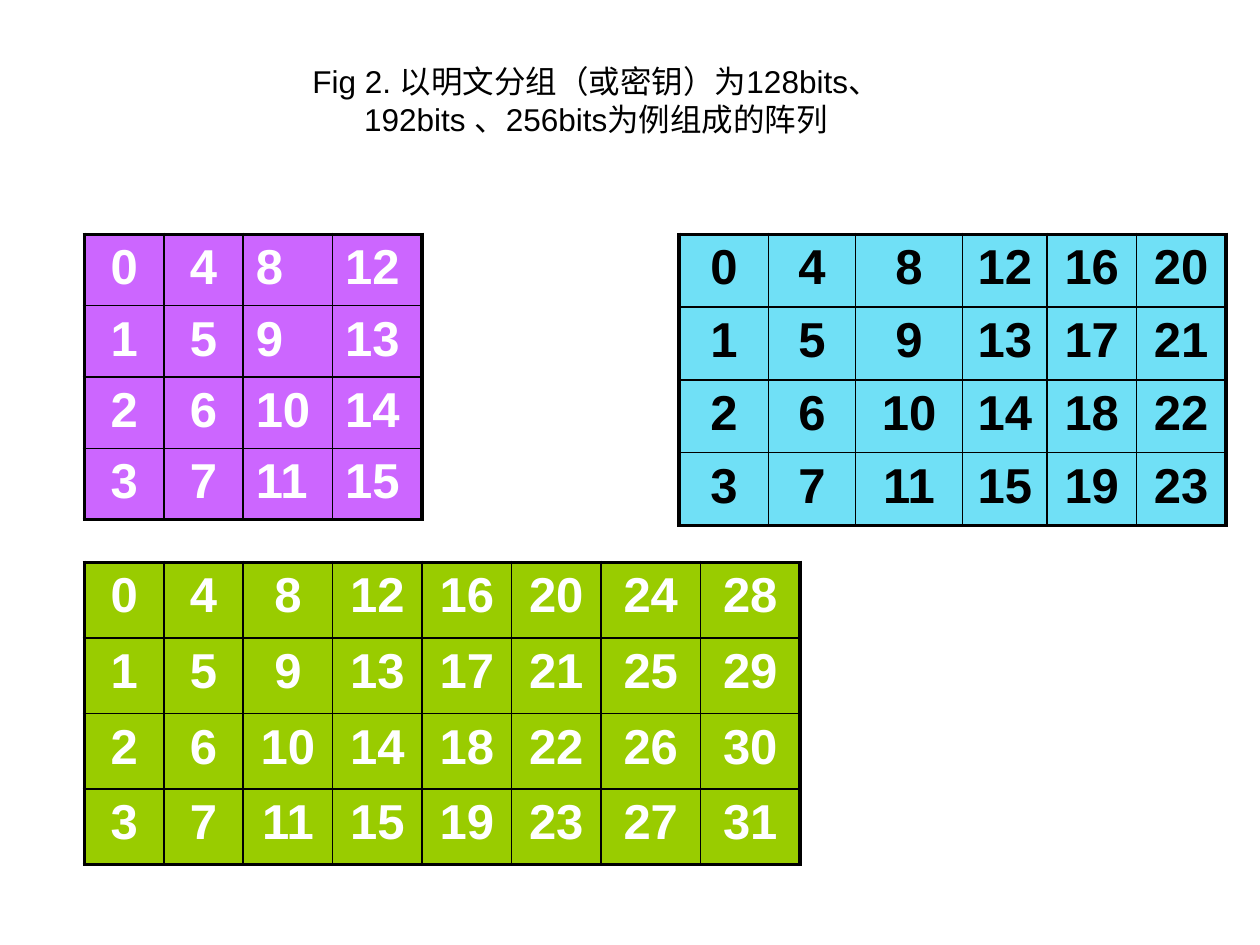
from lxml.etree import SubElement
from pptx import Presentation
from pptx.dml.color import RGBColor as RGB
from pptx.enum.text import MSO_ANCHOR as ANCHOR, MSO_AUTO_SIZE as AUTO, PP_ALIGN as ALIGN
from pptx.oxml.ns import qn
from pptx.util import Inches, Pt

COLORS = {"white": "FFFFFF", "black": "000000", "violet": "CC66FF",
          "cyan": "70E0F6", "green": "99CC00"}
ROWS = 4
OUTER, INNER = 2.25, 1

prs = Presentation()
prs.slide_width, prs.slide_height = Inches(10), Inches(7.5)
X, Y = prs.slide_width / 100, prs.slide_height / 100  # one percent of the slide


def add_border(cell, side, width):
    """Draw one side (L, R, T or B) of a cell; call before filling the cell."""
    ln = SubElement(cell._tc.get_or_add_tcPr(), qn(f"a:ln{side}"), w=str(Pt(width)))
    SubElement(SubElement(ln, qn("a:solidFill")), qn("a:srgbClr"), val=COLORS["black"])


s = prs.slides.add_slide(prs.slide_layouts[5])

# left, top, column widths, row height (percent of the slide), fill, text, left-aligned columns
arrays = [
    (6.7, 24.8, [6.3, 6.3, 7.1, 7.1], 7.55, "violet", "white", (2, 3)),
    (53.9, 24.8, [7.1, 6.9, 8.5, 6.7, 7.1, 7.1], 7.7, "cyan", "black", ()),
    (6.7, 59.5, [6.3, 6.3, 7.1, 7.1, 7.1, 7.1, 7.9, 7.9], 8, "green", "white", ()),
]
for left, top, widths, height, fill, ink, left_cols in arrays:
    cols = len(widths)
    table = s.shapes.add_table(ROWS, cols, int(left * X), int(top * Y),
                               int(sum(widths) * X), int(ROWS * height * Y)).table
    table.first_row = table.horz_banding = False
    for col, width in zip(table.columns, widths):
        col.width = int(width * X)
    for row in table.rows:
        row.height = int(height * Y)

    # Bytes run down each column in turn
    for n in range(ROWS * cols):
        c, r = divmod(n, ROWS)
        cell = table.cell(r, c)
        edges = {"L": c == 0, "R": c == cols - 1, "T": r == 0, "B": r == ROWS - 1}
        for side, is_outer in edges.items():
            add_border(cell, side, OUTER if is_outer else INNER)
        cell.fill.solid()
        cell.fill.fore_color.rgb = RGB.from_string(COLORS[fill])
        p = cell.text_frame.paragraphs[0]
        p.text = str(n)
        p.alignment = ALIGN.LEFT if c in left_cols else ALIGN.CENTER
        p.font.name, p.font.size, p.font.bold = "Arial", Pt(28), True
        p.font.color.rgb = RGB.from_string(COLORS[ink])

title = s.shapes.title
title.left, title.top = int(20.9 * X), int(5.9 * Y)
title.width, title.height = int(52.8 * X), int(14.7 * Y)
tf = title.text_frame
tf.word_wrap, tf.auto_size, tf.vertical_anchor = True, AUTO.NONE, ANCHOR.TOP
p = tf.paragraphs[0]
p.text = "Fig 2. 以明文分组（或密钥）为128bits、192bits 、256bits为例组成的阵列"
p.alignment = ALIGN.CENTER
p.font.name, p.font.size = "Arial", Pt(18)
p.font.color.rgb = RGB.from_string(COLORS["black"])

prs.save("out.pptx")
